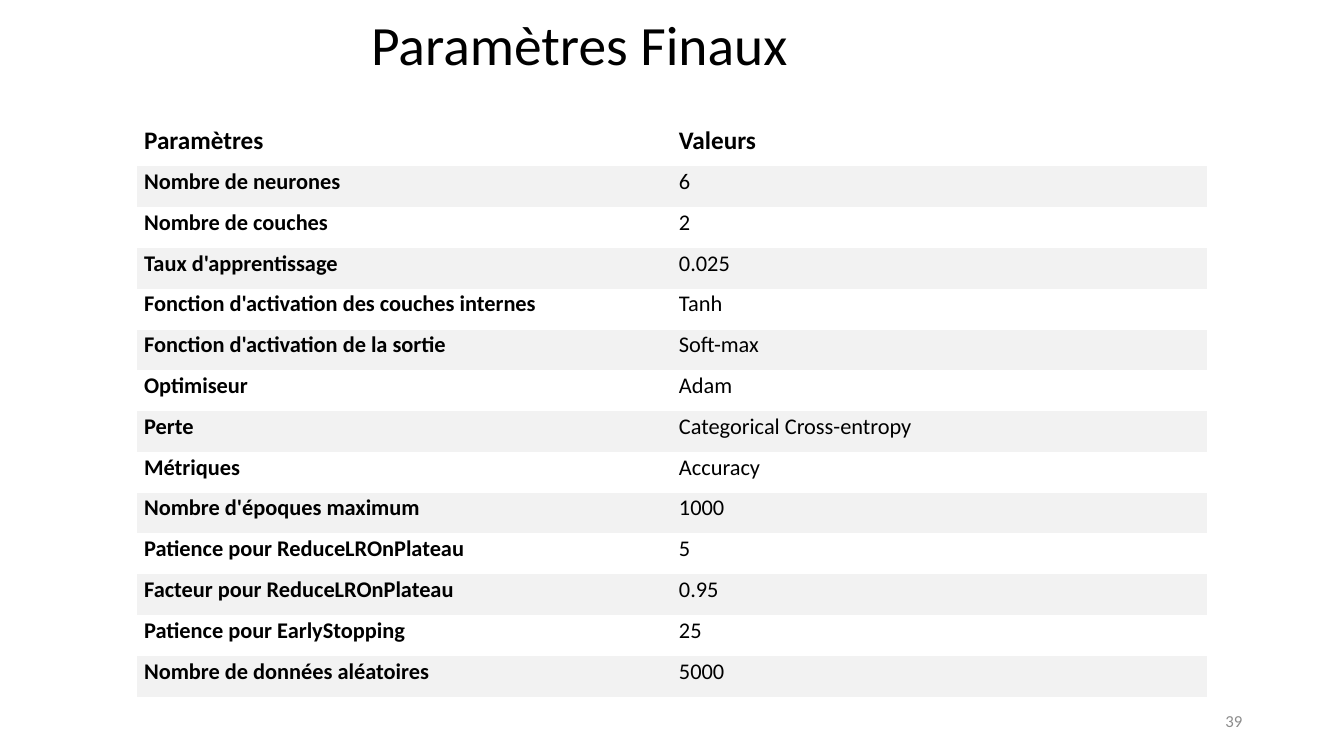
import pptx
import pptx.util
import pptx.dml.color
import pptx.enum.text
from dataclasses import dataclass

TITLE = "Paramètres Finaux"
PAGE = "39"
HEAD = ("Paramètres", "Valeurs")
ROWS = [
    ("Nombre de neurones", "6"),
    ("Nombre de couches", "2"),
    ("Taux d'apprentissage", "0.025"),
    ("Fonction d'activation des couches internes", "Tanh"),
    ("Fonction d'activation de la sortie", "Soft-max"),
    ("Optimiseur", "Adam"),
    ("Perte", "Categorical Cross-entropy"),
    ("Métriques", "Accuracy"),
    ("Nombre d'époques maximum", "1000"),
    ("Patience pour ReduceLROnPlateau", "5"),
    ("Facteur pour ReduceLROnPlateau", "0.95"),
    ("Patience pour EarlyStopping", "25"),
    ("Nombre de données aléatoires", "5000"),
]

Inches = pptx.util.Inches
Pt = pptx.util.Pt
ALIGN = pptx.enum.text.PP_ALIGN
ANCHOR = pptx.enum.text.MSO_ANCHOR


@dataclass(frozen=True)
class Theme:
    font: str = "Calibri"
    ink: str = "000000"
    gray: str = "8C8C8C"
    band: str = "F2F2F2"
    title: float = 39.6
    head: float = 18
    body: float = 16
    note: float = 12


THEME = Theme()
PLAIN_STYLE = "{2D5ABB26-0587-4C30-8999-92F81FD0307C}"  # no fill, no grid


def color(code):
    return pptx.dml.color.RGBColor.from_string(code)


def write(frame, text, size, ink=THEME.ink, bold=False, align=ALIGN.LEFT,
          line=1.0, after=0):
    frame.word_wrap = True
    para = frame.paragraphs[0]
    para.alignment = align
    para.line_spacing = line
    para.space_after = Pt(after)
    run = para.add_run()
    run.text = text
    font = run.font
    font.name, font.size, font.bold = THEME.font, Pt(size), bold
    font.color.rgb = color(ink)


def add_title(slide):
    title = slide.shapes.title
    title.left, title.top = Inches(3.58), Inches(0.14)
    title.width, title.height = Inches(4.5), Inches(0.66)
    title.text_frame.auto_size = pptx.enum.text.MSO_AUTO_SIZE.NONE
    title.text_frame.vertical_anchor = ANCHOR.MIDDLE
    write(title.text_frame, TITLE, THEME.title, line=0.9)


def add_grid(slide):
    lines = [HEAD] + ROWS
    frame = slide.shapes.add_table(len(lines), len(HEAD), Inches(1.36),
                                   Inches(1.22), Inches(10.61), Inches(5.7))
    table = frame.table
    table.first_row = table.horz_banding = False
    table._tbl.tblPr.find(pptx.oxml.ns.qn("a:tableStyleId")).text = PLAIN_STYLE
    for r, line in enumerate(lines):
        is_head = r == 0
        table.rows[r].height = Inches(0.43 if is_head else 0.405)
        for c, text in enumerate(line):
            cell = table.cell(r, c)
            cell.margin_left = cell.margin_right = Inches(0.07)
            cell.margin_top = cell.margin_bottom = 0
            if r % 2:
                cell.fill.solid()
                cell.fill.fore_color.rgb = color(THEME.band)
            else:
                cell.fill.background()
            write(cell.text_frame, text, THEME.head if is_head else THEME.body,
                  bold=is_head or c == 0, line=1.07, after=8)


def add_page(slide):
    box = slide.shapes.add_textbox(Inches(9.42), Inches(6.95),
                                   Inches(3), Inches(0.4))
    box.text_frame.vertical_anchor = ANCHOR.MIDDLE
    write(box.text_frame, PAGE, THEME.note, ink=THEME.gray, align=ALIGN.RIGHT)


def main():
    deck = pptx.Presentation()
    deck.slide_width, deck.slide_height = Inches(13.33), Inches(7.5)
    slide = deck.slides.add_slide(deck.slide_layouts[5])
    add_title(slide)
    add_grid(slide)
    add_page(slide)
    deck.save("out.pptx")


if __name__ == "__main__":
    main()
